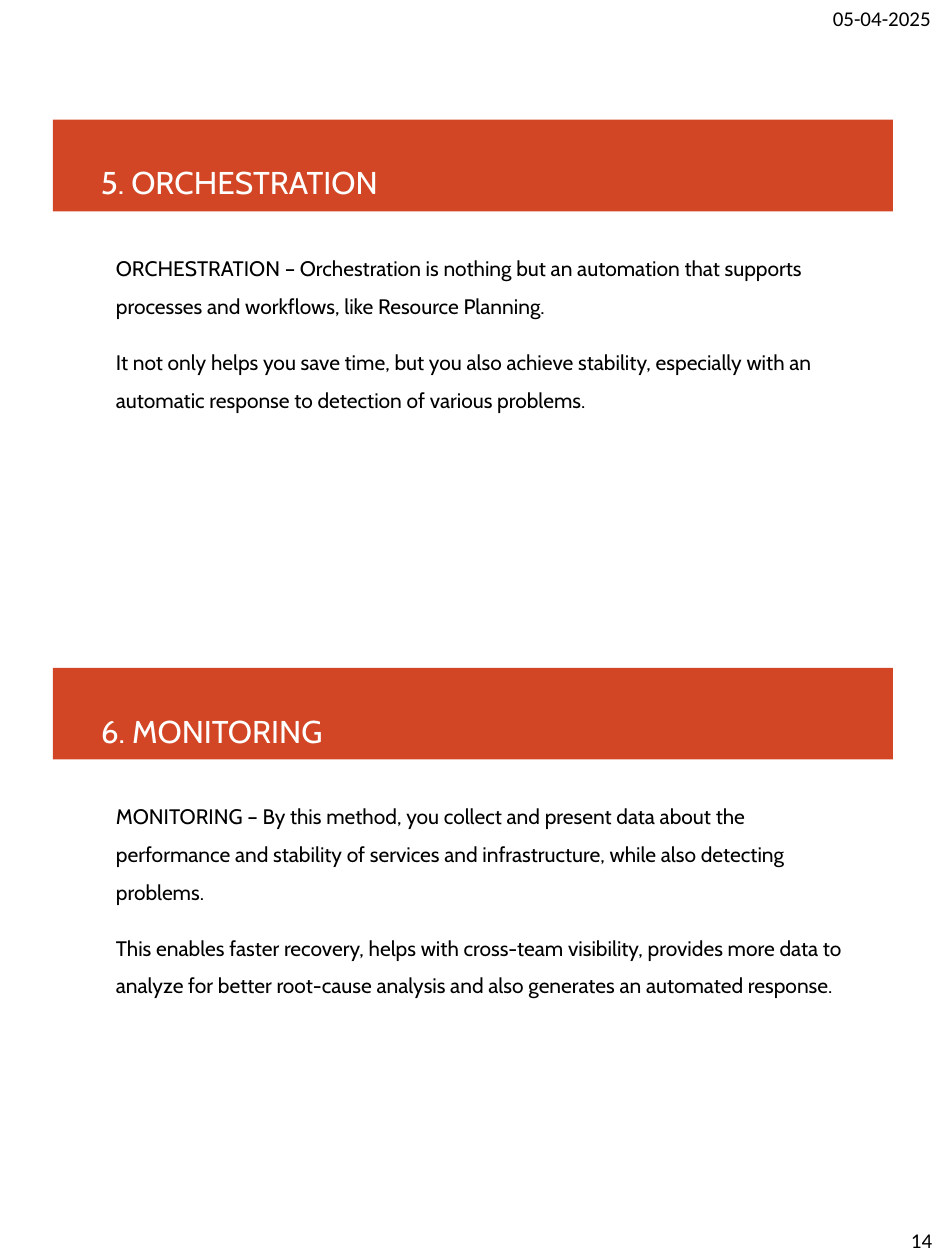
from pptx import Presentation
from pptx.dml.color import RGBColor
from pptx.enum.shapes import MSO_SHAPE
from pptx.enum.text import MSO_ANCHOR, PP_ALIGN
from pptx.util import Pt

RECTANGLE = MSO_SHAPE.RECTANGLE
TOP = MSO_ANCHOR.TOP
LEFT = PP_ALIGN.LEFT
ORANGE = RGBColor(0xD2, 0x46, 0x25)
WHITE = RGBColor(0xFF, 0xFF, 0xFF)
BLACK = RGBColor(0x00, 0x00, 0x00)


def write_text(shape, paragraphs, font="Cabin", size=12, color=BLACK,
               left=0.72, top=0.72, line_spacing=1.0, gap=0):
    """Fill a shape with paragraphs; left and top are insets, gap parts the paragraphs."""
    frame = shape.text_frame
    frame.word_wrap = True
    frame.vertical_anchor = TOP
    frame.margin_left, frame.margin_top = Pt(left), Pt(top)
    frame.margin_right = frame.margin_bottom = 0
    for index, text in enumerate(paragraphs):
        paragraph = frame.add_paragraph() if index else frame.paragraphs[0]
        paragraph.alignment = LEFT
        paragraph.line_spacing = line_spacing
        paragraph.space_before = Pt(gap if index else 0)
        run = paragraph.add_run()
        run.text = text
        run.font.name = font
        run.font.size = Pt(size)
        run.font.color.rgb = color


presentation = Presentation()
presentation.slide_width = Pt(540)
presentation.slide_height = Pt(720)
slide = presentation.slides.add_slide(presentation.slide_layouts[6])

page_number = slide.shapes.add_textbox(Pt(517.7), Pt(703.4), Pt(19.4), Pt(14.4))
write_text(page_number, ["14"], font="Calibri", left=2.9, top=0, line_spacing=Pt(12.4))

date = slide.shapes.add_textbox(Pt(475.2), Pt(2.2), Pt(60), Pt(16.6))
write_text(date, ["05-04-2025"], font="Calibri")

sections = [
    ("5. ORCHESTRATION", [
        "ORCHESTRATION – Orchestration is nothing but an automation that supports "
        "processes and workflows, like Resource Planning.",
        "It not only helps you save time, but you also achieve stability, especially "
        "with an automatic response to detection of various problems.",
    ], 98.6),
    ("6. MONITORING", [
        "MONITORING – By this method, you collect and present data about the "
        "performance and stability of services and infrastructure, while also "
        "detecting problems.",
        "This enables faster recovery, helps with cross-team visibility, provides "
        "more data to analyze for better root-cause analysis and also generates an "
        "automated response.",
    ], 141.8),
]
FIRST_TOP, SECTION_STEP, BODY_OFFSET = 68.4, 313.2, 69.8

for index, (title, body, body_height) in enumerate(sections):
    section_top = FIRST_TOP + index * SECTION_STEP
    banner = slide.shapes.add_shape(RECTANGLE, Pt(30.2), Pt(section_top), Pt(480), Pt(52.4))
    banner.shadow.inherit = False
    banner.fill.solid()
    banner.fill.fore_color.rgb = ORANGE
    banner.line.fill.background()
    write_text(banner, [title], size=18, color=WHITE, left=27.4, top=25)

    body_box = slide.shapes.add_textbox(
        Pt(65.5), Pt(section_top + BODY_OFFSET), Pt(423), Pt(body_height))
    write_text(body_box, body, line_spacing=1.5, gap=10.3)

presentation.save("out.pptx")
